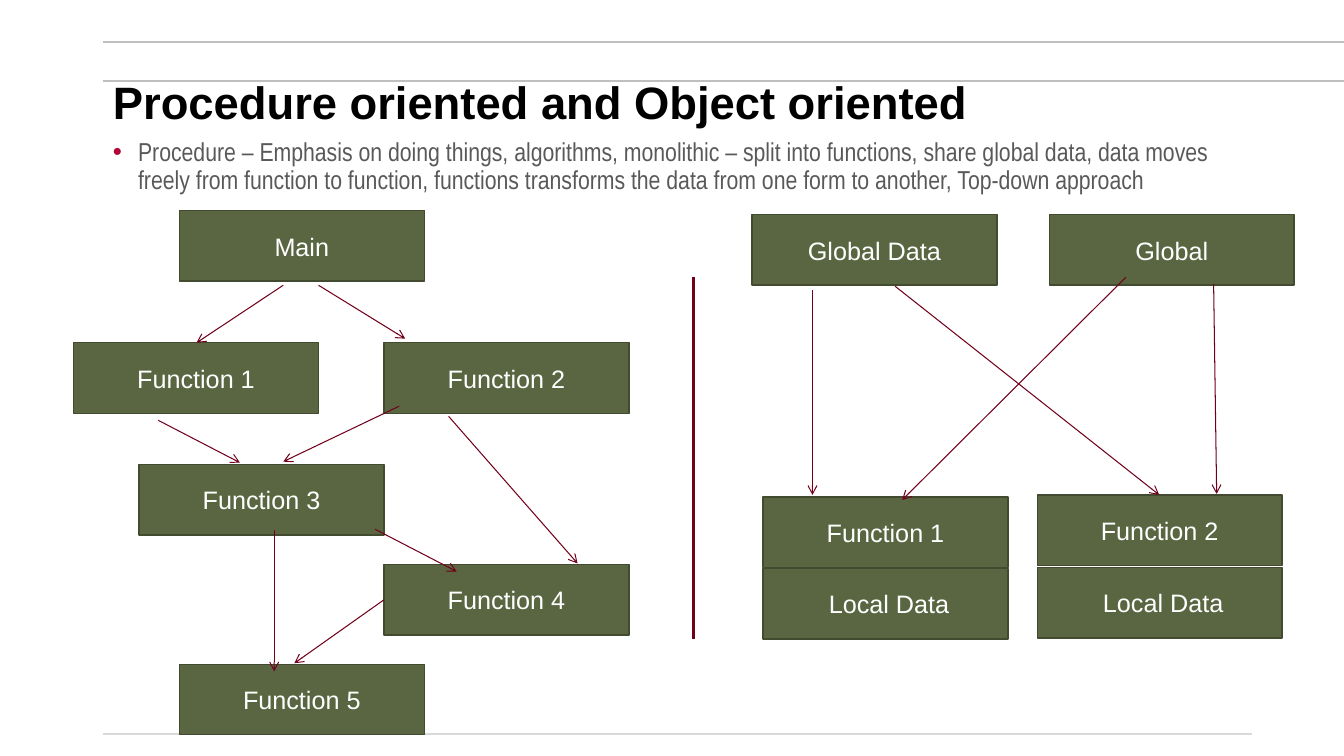
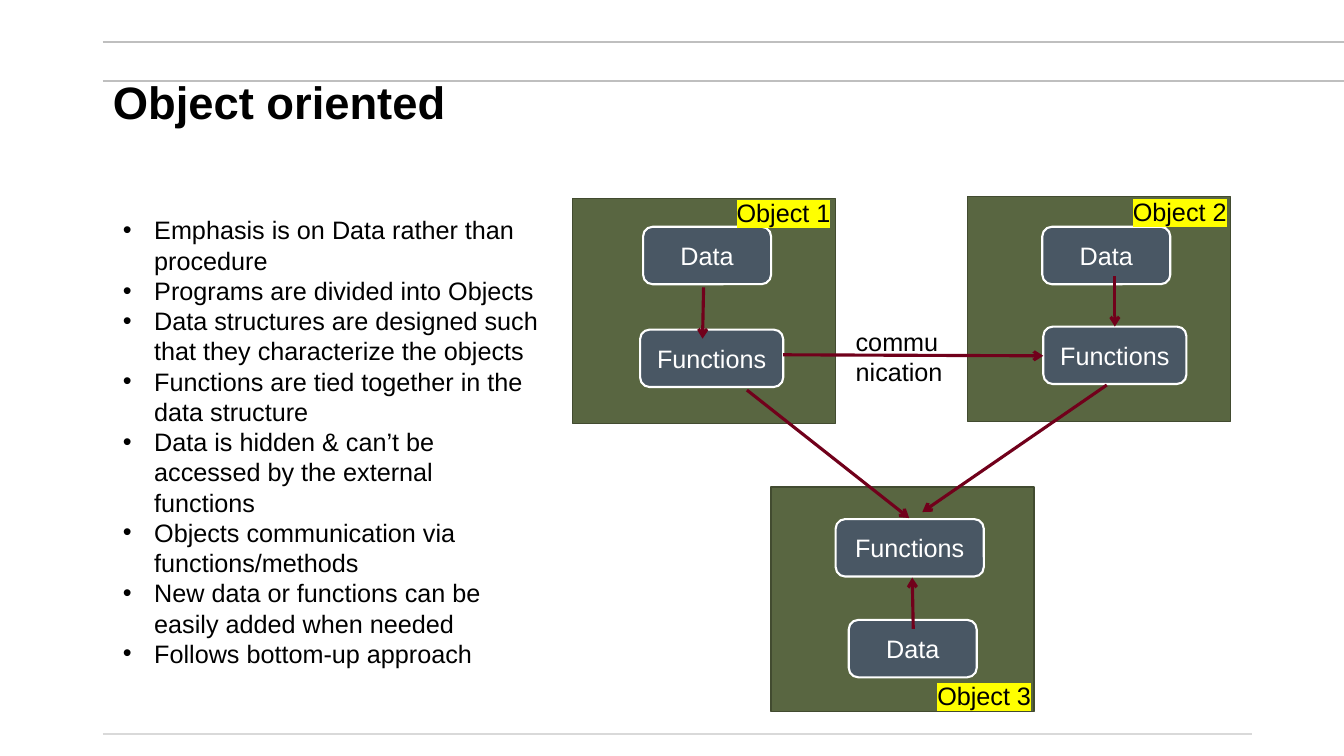
import pptx
import pptx.dml.color
import pptx.enum.shapes
import pptx.enum.text
import pptx.oxml
import pptx.oxml.ns
import pptx.util
from lxml import etree

CELL = pptx.util.Inches(0.1)  # the grid has square cells
COLUMNS, ROWS = 133.33, 75
MARGIN = 10.2
CONTENT_WIDTH = 113.9

COLORS = {
    "rule": "BFBFBF",
    "footer_rule": "D9D9D9",
    "title": "000000",
    "text": "000000",
    "muted": "595959",
    "bullet": "B30738",
    "box": "596641",
    "box_edge": "424B30",
    "member": "495764",
    "white": "FFFFFF",
    "arrow": "71001B",
    "highlight": "FFFF00",
}
FONT, NARROW = "Arial", "Arial Narrow"

BOX_SIZE = (24.3, 7)
FRAME_SIZE = (26.1, 22.3)
LABEL_SIZE = (13, 4)
MEMBER_HEIGHT = 5.7
DATA_WIDTH = 12.7

EMPHASIS = (
    "Procedure – Emphasis on doing things, algorithms, monolithic – split into "
    "functions, share global data, data moves freely from function to function, "
    "functions transforms the data from one form to another, Top-down approach"
)

PROCEDURE_BOXES = [
    ("Main", 17.8, 20.9),
    ("Function 1", 7.3, 34),
    ("Function 2", 38.1, 34),
    ("Function 3", 13.8, 46.1),
    ("Function 4", 38.1, 56),
    ("Function 5", 17.8, 65.9),
    ("Global Data", 74.6, 21.3),
    ("Global", 104.1, 21.3),
    ("Function 1", 75.7, 49.3),
    (" Local Data", 75.7, 56.4),
    ("Function 2", 102.9, 49.1),
    (" Local Data", 102.9, 56.3),
]

PROCEDURE_ARROWS = [
    ((28.1, 28.3), (19.5, 34)),
    ((31.6, 28.3), (40.2, 33.6)),
    ((15.7, 41.7), (23.8, 45.9)),
    ((39.6, 40.3), (28.1, 45.8)),
    ((44.5, 41.3), (57.3, 55.9)),
    ((37.2, 52.5), (45.3, 56.7)),
    ((38.1, 59.5), (29.2, 65.8)),
    ((27.2, 52.6), (27.2, 66.6)),
    ((88.8, 28.4), (115, 49.1)),
    ((80.6, 28.8), (80.6, 49.1)),
    ((120.4, 28.2), (120.7, 49)),
    ((111.7, 27.5), (89.5, 49.6)),
]

OBJECT_POINTS = [
    "Emphasis is on Data rather than procedure",
    "Programs are divided into Objects",
    "Data structures are designed such that they characterize the objects",
    "Functions are tied together in the data structure",
    "Data is hidden & can’t be accessed by the external functions",
    "Objects communication via functions/methods",
    "New data or functions can be easily added when needed",
    "Follows bottom-up approach",
]

# label, then corners of frame, data, functions and label; width of functions
OBJECTS = [
    ("Object 1", (56.8, 19.7), (63.8, 22.5), (63.5, 32.7), (72.1, 19.1), 14.2),
    ("Object 2", (96, 19.5), (103.4, 22.5), (103.5, 32.4), (111.4, 19), 14.2),
    ("Object 3", (76.5, 48.3), (84.2, 61.5), (82.9, 51.5), (92, 67), 14.7),
]

OBJECT_ARROWS = [
    ((110.6, 27.4), (110.6, 32.4)),
    ((69.8, 28.5), (69.7, 33.6)),
    ((90.6, 62.4), (90.5, 57.3)),
    ((77.7, 35.2), (103.5, 35.3)),
    ((74.1, 38.7), (90.2, 51.4)),
    ((109.8, 38.2), (91.5, 50.8)),
]


def grid(*cells):
    return [round(cell * CELL) for cell in cells]


def rgb(name):
    return pptx.dml.color.RGBColor.from_string(COLORS[name])


def set_font(paragraph, color, size=18, name=FONT, bold=False):
    font = paragraph.font
    font.size, font.name, font.bold = pptx.util.Pt(size), name, bold
    font.color.rgb = rgb(color)


def place(shape, left, top, width, height):
    shape.left, shape.top, shape.width, shape.height = grid(left, top, width, height)


def add_child(parent, tag, **attributes):
    return etree.SubElement(parent, pptx.oxml.ns.qn(tag), attributes)


def add_line(slide, start, end, color, width, arrow=False):
    line = slide.shapes.add_connector(
        pptx.enum.shapes.MSO_CONNECTOR.STRAIGHT, *grid(*start, *end))
    line.line.color.rgb = rgb(color)
    line.line.width = pptx.util.Pt(width)
    if arrow:
        add_child(line.line._get_or_add_ln(), "a:tailEnd", type="arrow")
    add_child(line._element.spPr, "a:effectLst")


def add_box(slide, corner, size, fill, edge, edge_width, text="", rounded=False):
    kinds = pptx.enum.shapes.MSO_SHAPE
    kind = kinds.ROUNDED_RECTANGLE if rounded else kinds.RECTANGLE
    box = slide.shapes.add_shape(kind, *grid(*corner, *size))
    box.shadow.inherit = False
    box.fill.solid()
    box.fill.fore_color.rgb = rgb(fill)
    box.line.color.rgb = rgb(edge)
    box.line.width = pptx.util.Pt(edge_width)
    if text:
        box.text_frame.text = text
        box.text_frame.vertical_anchor = pptx.enum.text.MSO_ANCHOR.MIDDLE
        caption = box.text_frame.paragraphs[0]
        caption.alignment = pptx.enum.text.PP_ALIGN.CENTER
        set_font(caption, "white")


def add_green_box(slide, corner, size, text=""):
    add_box(slide, corner, size, "box", "box_edge", 1, text)


def add_member(slide, corner, width, text):
    add_box(slide, corner, (width, MEMBER_HEIGHT), "member", "white", 1.5, text,
            rounded=True)


def add_label(slide, corner, size, text, highlighted=False):
    label = slide.shapes.add_textbox(*grid(*corner, *size))
    label.text_frame.word_wrap = True
    label.text_frame.text = text
    paragraph = label.text_frame.paragraphs[0]
    set_font(paragraph, "text")
    if highlighted:
        run_properties = paragraph.runs[0]._r.get_or_add_rPr()
        highlight = add_child(run_properties, "a:highlight")
        add_child(highlight, "a:srgbClr", val=COLORS["highlight"])


def set_bullet(paragraph, color, margin, hanging):
    properties = paragraph._p.get_or_add_pPr()
    left, indent = grid(margin, -hanging)
    properties.set("marL", str(left))
    properties.set("indent", str(indent))
    add_child(add_child(properties, "a:buClr"), "a:srgbClr", val=COLORS[color])
    add_child(properties, "a:buFont", typeface=FONT)
    add_child(properties, "a:buChar", char="•")


def fill_list(slide, area, points, bullet, margin, hanging, spacing, before, **font):
    body = slide.placeholders[1]
    place(body, *area)
    frame = body.text_frame
    frame.text = "\n".join(points)
    frame.auto_size = pptx.enum.text.MSO_AUTO_SIZE.NONE
    frame.vertical_anchor = pptx.enum.text.MSO_ANCHOR.TOP
    for paragraph in frame.paragraphs:
        paragraph.alignment = pptx.enum.text.PP_ALIGN.LEFT
        paragraph.line_spacing = spacing
        paragraph.space_before = pptx.util.Pt(before)
        set_bullet(paragraph, bullet, margin, hanging)
        set_font(paragraph, **font)


def add_slide(deck, heading):
    """Add a slide with the shared rules and title."""
    slide = deck.slides.add_slide(deck.slide_layouts[1])
    for row, end, color in [(8, COLUMNS, "rule"), (4.2, COLUMNS, "rule"),
                            (72.8, 124.2, "footer_rule")]:
        add_line(slide, (MARGIN, row), (end, row), color, 1.5)
    title = slide.shapes.title
    place(title, MARGIN, 8.4, CONTENT_WIDTH, 3.9)
    title.text_frame.text = heading
    title.text_frame.auto_size = pptx.enum.text.MSO_AUTO_SIZE.NONE
    title.text_frame.vertical_anchor = pptx.enum.text.MSO_ANCHOR.MIDDLE
    paragraph = title.text_frame.paragraphs[0]
    paragraph.alignment = pptx.enum.text.PP_ALIGN.LEFT
    paragraph.line_spacing = 0.9
    set_font(paragraph, "title", 32.4, bold=True)
    return slide


def add_procedure_slide(deck):
    slide = add_slide(deck, "Procedure oriented and Object oriented")
    fill_list(slide, (5.2, 13.3, 119, 8.8), [EMPHASIS], "bullet", 7.5, 2.5, 0.9, 5,
              color="muted", size=18.5, name=NARROW)
    for text, *corner in PROCEDURE_BOXES:
        add_green_box(slide, corner, BOX_SIZE, text)
    for start, end in PROCEDURE_ARROWS:
        add_line(slide, start, end, "arrow", 0.75, arrow=True)
    add_line(slide, (68.8, 27.5), (68.8, 63.4), "arrow", 1.5)


def add_object_slide(deck):
    slide = add_slide(deck, "Object oriented")
    fill_list(slide, (11.2, 20.8, 43.4, 46.4), OBJECT_POINTS, "text", 3.1, 3.1, 1, 0,
              color="text")
    for name, frame, data, functions, label, functions_width in OBJECTS:
        add_green_box(slide, frame, FRAME_SIZE)
        add_member(slide, data, DATA_WIDTH, "Data")
        add_member(slide, functions, functions_width, "Functions")
        add_label(slide, label, LABEL_SIZE, name, highlighted=True)
    for start, end in OBJECT_ARROWS:
        add_line(slide, start, end, "arrow", 2.25, arrow=True)
    add_label(slide, (83.9, 31.9), (10.8, 7.1), "communication")


def main():
    deck = pptx.Presentation()
    deck.slide_width, deck.slide_height = grid(COLUMNS, ROWS)
    add_procedure_slide(deck)
    add_object_slide(deck)
    deck.save("out.pptx")


if __name__ == "__main__":
    main()
